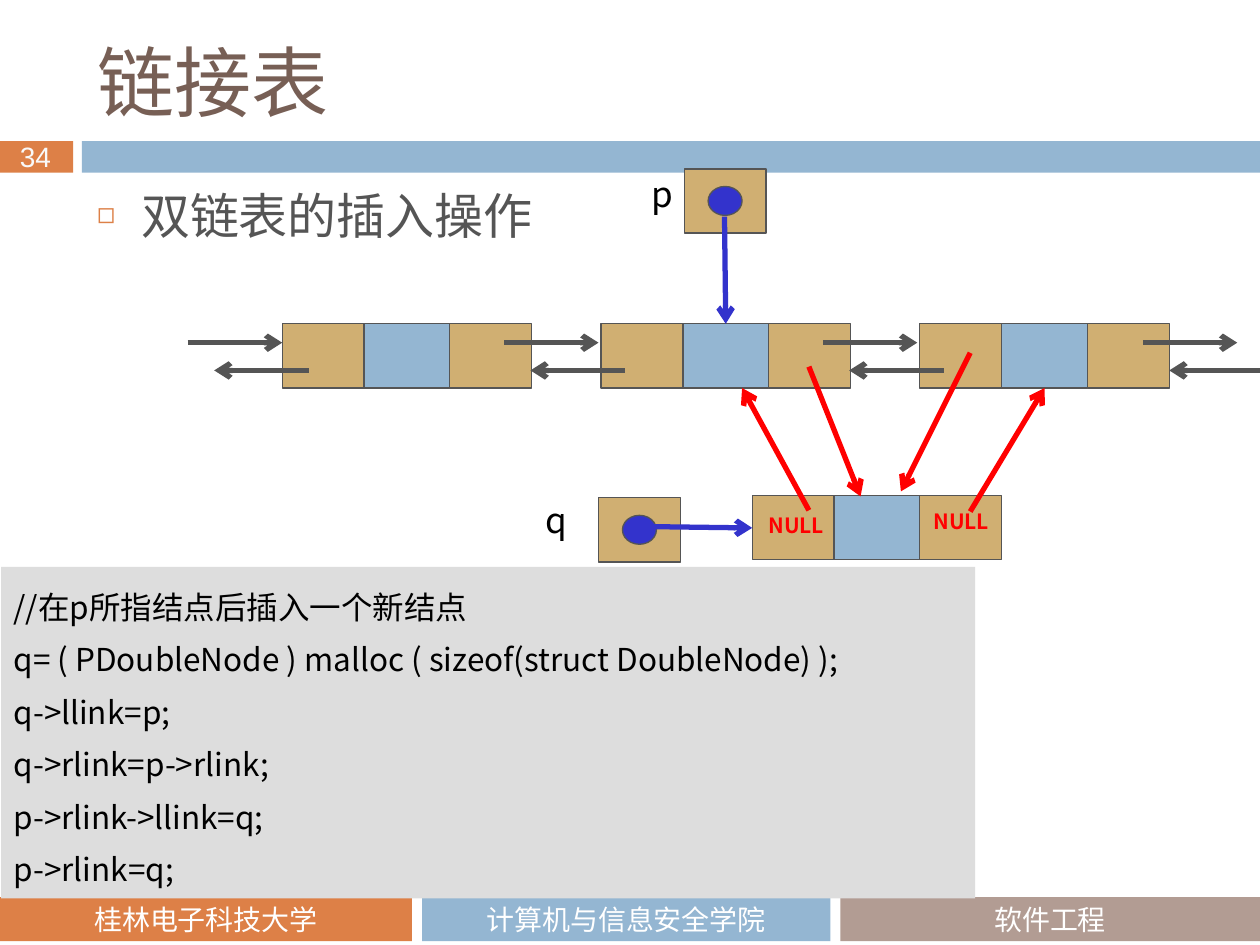
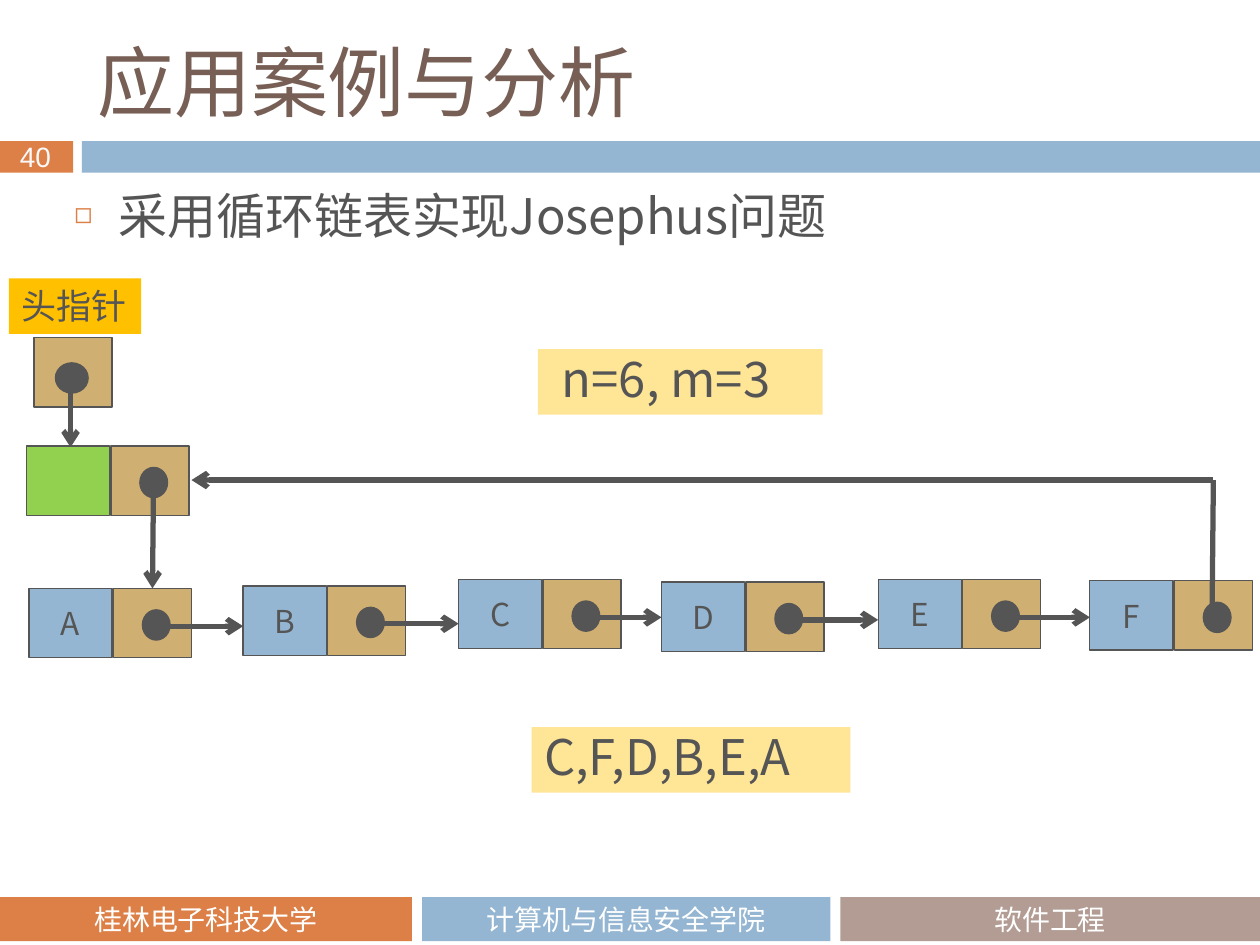
from itertools import pairwise

from lxml.etree import SubElement
from pptx import Presentation
from pptx.dml.color import RGBColor
from pptx.enum.shapes import MSO_CONNECTOR as CONN, MSO_SHAPE as SHAPE
from pptx.enum.text import MSO_ANCHOR as ANCHOR, PP_ALIGN as ALIGN
from pptx.oxml.ns import qn
from pptx.util import Inches, Pt

SANS, TITLE_FONT = "Noto Sans CJK SC", "Noto Sans CJK JP"
GRAY, TAN, BLUE, ORANGE, TAUPE = "555555", "D0AF72", "94B6D2", "DD8047", "B29C93"
INK, RED, WHITE, BLACK = "3333CC", "FF0000", "FFFFFF", "000000"
PALE, GOLD, GREEN = "FFE697", "FFC000", "92D050"
ROW_H = 0.51
NODE_H = 0.55


def rgb(value):
    return RGBColor.from_string(value)


def write(tf, text, size=18, color=GRAY, font=SANS, ea=None, bold=False,
          align=ALIGN.LEFT, anchor=ANCHOR.TOP, spacing=None, wrap=True, left=0.1):
    tf.word_wrap = wrap
    tf.vertical_anchor = anchor
    tf.margin_left = Inches(left)
    for i, line in enumerate(text.split("\n")):
        p = tf.add_paragraph() if i else tf.paragraphs[0]
        p.alignment = align
        p.space_before = Pt(0)
        if spacing:
            p.line_spacing = Pt(spacing)
        r = p.add_run()
        r.text = line
        r.font.size, r.font.bold, r.font.name = Pt(size), bold, font
        r.font.color.rgb = rgb(color)
        SubElement(r.font._element, qn("a:ea"), typeface=ea or font)


class Deck:
    """Hold the deck style and draw elements on the current slide."""

    def __init__(self):
        self.prs = Presentation()
        self.prs.slide_width, self.prs.slide_height = Inches(10), Inches(7.5)

    def slide(self, number, title, bullet, left, width):
        self.s = self.prs.slides.add_slide(self.prs.slide_layouts[1])
        self.box(0, 1.12, 0.58, 0.25, ORANGE)
        self.box(0.65, 1.12, 9.35, 0.25, BLUE)
        footers = [(0, 3.27, ORANGE, "桂林电子科技大学"),
                   (3.35, 3.24, BLUE, "计算机与信息安全学院"),
                   (6.67, 3.33, TAUPE, "软件工程")]
        for x, w, fill, text in footers:
            self.box(x, 7.12, w, 0.35, fill, text=text, size=16, color=WHITE,
                     font="Calibri", ea=SANS, align=ALIGN.CENTER, anchor=ANCHOR.MIDDLE)
        self.label(0.06, 1.06, 0.48, 0.37, str(number), size=16, color="F9F9F9",
                   font="Arial")
        self.holder(0, 0.67, 0.25, 8.92, 0.78, title, size=44, color="775F55",
                    font=TITLE_FONT, anchor=ANCHOR.MIDDLE)
        tf = self.holder(1, left, 1.47, width, 0.79, bullet, size=28, spacing=30)
        pPr = tf.paragraphs[0]._p.get_or_add_pPr()
        pPr.set("marL", str(Inches(0.35)))
        pPr.set("indent", str(Inches(-0.35)))
        SubElement(SubElement(pPr, qn("a:buClr")), qn("a:srgbClr"), val=ORANGE)
        SubElement(pPr, qn("a:buSzPct"), val="60000")
        SubElement(pPr, qn("a:buChar"), char="◻")

    def holder(self, index, x, y, w, h, text, **fmt):
        sp = self.s.placeholders[index]
        sp.left, sp.top, sp.width, sp.height = map(Inches, (x, y, w, h))
        write(sp.text_frame, text, **fmt)
        return sp.text_frame

    def box(self, x, y, w, h, fill, line=None, kind=SHAPE.RECTANGLE, text=None, **fmt):
        sp = self.s.shapes.add_shape(kind, *map(Inches, (x, y, w, h)))
        sp.shadow.inherit = False
        sp.fill.solid()
        sp.fill.fore_color.rgb = rgb(fill)
        if line:
            sp.line.color.rgb = rgb(line)
            sp.line.width = Pt(0.75)
        else:
            sp.line.fill.background()
        if text:
            write(sp.text_frame, text, **fmt)

    def cell(self, x, y, w, h, fill=TAN, **fmt):
        self.box(x, y, w, h, fill, GRAY, align=ALIGN.CENTER, anchor=ANCHOR.MIDDLE, **fmt)

    def dot(self, x, y, w, h, fill=GRAY):
        self.box(x, y, w, h, fill, GRAY, SHAPE.OVAL)

    def label(self, x, y, w, h, text, **fmt):
        sp = self.s.shapes.add_textbox(*map(Inches, (x, y, w, h)))
        write(sp.text_frame, text, wrap=False, **fmt)

    def line(self, x1, y1, x2, y2, color=GRAY, arrow=True):
        c = self.s.shapes.add_connector(CONN.STRAIGHT, *map(Inches, (x1, y1, x2, y2)))
        c.line.color.rgb = rgb(color)
        c.line.width = Pt(3)
        if arrow:
            SubElement(c.line._get_or_add_ln(), qn("a:tailEnd"), type="arrow")
        SubElement(c._element.spPr, qn("a:effectLst"))

    def double_node(self, x, y):
        self.cell(x + 0.64, y, 0.69, ROW_H, BLUE)
        for dx in (0, 1.33):
            self.cell(x + dx, y, 0.65, ROW_H)

    def pointer(self, name, x, y, name_x, name_y):
        self.cell(x, y, 0.65, ROW_H)
        self.dot(x + 0.19, y + 0.14, 0.27, 0.23, INK)
        self.label(name_x, name_y, 0.38, 0.44, name, size=20, color=BLACK)

    def single_node(self, x, y, fill=BLUE, text=None):
        self.cell(x, y, 0.66, NODE_H, fill, text=text)
        self.cell(x + 0.67, y, 0.62, NODE_H)
        self.dot(x + 0.9, y + 0.17, 0.22, 0.24)


def insertion_slide(deck):
    deck.slide(34, "链接表", "双链表的插入操作", 0.67, 4.04)
    code = """//在p所指结点后插入一个新结点
q= ( PDoubleNode ) malloc ( sizeof(struct DoubleNode) );
q->llink=p;
q->rlink=p->rlink;
p->rlink->llink=q;
p->rlink=q;"""
    deck.box(0.01, 4.5, 7.73, 2.63, "DDDDDD", text=code, color=BLACK, spacing=30)
    for i in range(3):
        deck.double_node(2.24 + 2.53 * i, 2.57)
    for x in (1.49, 4, 6.53, 9.07):
        deck.line(x, 2.72, x + 0.75, 2.72)
        deck.line(x + 0.96, 2.94, x + 0.21, 2.94)
    deck.pointer("p", 5.43, 1.34, 5.07, 1.32)
    deck.line(5.75, 1.72, 5.76, 2.57, INK)
    deck.double_node(5.97, 3.93)
    for x, y in ((5.99, 4.02), (7.3, 3.99)):
        deck.label(x, y, 0.66, 0.3, "NULL", size=12, color=RED, bold=True,
                   align=ALIGN.CENTER)
    deck.pointer("q", 4.75, 3.95, 4.23, 3.91)
    deck.line(5.19, 4.18, 5.97, 4.19, INK)
    for link in ((6.42, 4.05, 5.89, 3.08), (7.7, 4.06, 8.29, 3.08),
                 (7.7, 2.8, 7.15, 3.9), (6.42, 2.91, 6.83, 3.94)):
        deck.line(*link, RED)


def josephus_slide(deck):
    deck.slide(40, "应用案例与分析", "采用循环链表实现Josephus问题", 0.49, 8.92)
    nodes = [("A", 0.23, 4.67), ("B", 1.93, 4.65), ("C", 3.64, 4.6),
             ("D", 5.25, 4.62), ("E", 6.97, 4.6), ("F", 8.65, 4.61)]
    for name, x, y in nodes:
        deck.single_node(x, y, text=name)
    for (_, x, y), (_, next_x, _) in pairwise(nodes):
        deck.line(x + 0.99, y + 0.3, next_x, y + 0.3)
    deck.box(0.07, 2.21, 1.05, 0.44, GOLD, text="头指针", size=20)
    deck.cell(0.27, 2.68, 0.62, NODE_H)
    deck.dot(0.44, 2.88, 0.26, 0.24)
    deck.line(0.56, 3.01, 0.56, 3.55)
    deck.single_node(0.21, 3.54, GREEN)
    deck.line(1.22, 3.71, 1.21, 4.67)
    deck.line(9.62, 4.86, 9.63, 3.81, arrow=False)
    deck.line(9.63, 3.81, 1.52, 3.81)
    deck.box(4.27, 2.77, 2.26, 0.52, PALE, text="n=6, m=3", size=28, spacing=30, left=0.19)
    deck.box(4.22, 5.77, 2.53, 0.52, PALE, text="C,F,D,B,E,A", size=28, spacing=30)


def main():
    deck = Deck()
    insertion_slide(deck)
    josephus_slide(deck)
    deck.prs.save("out.pptx")


if __name__ == "__main__":
    main()
